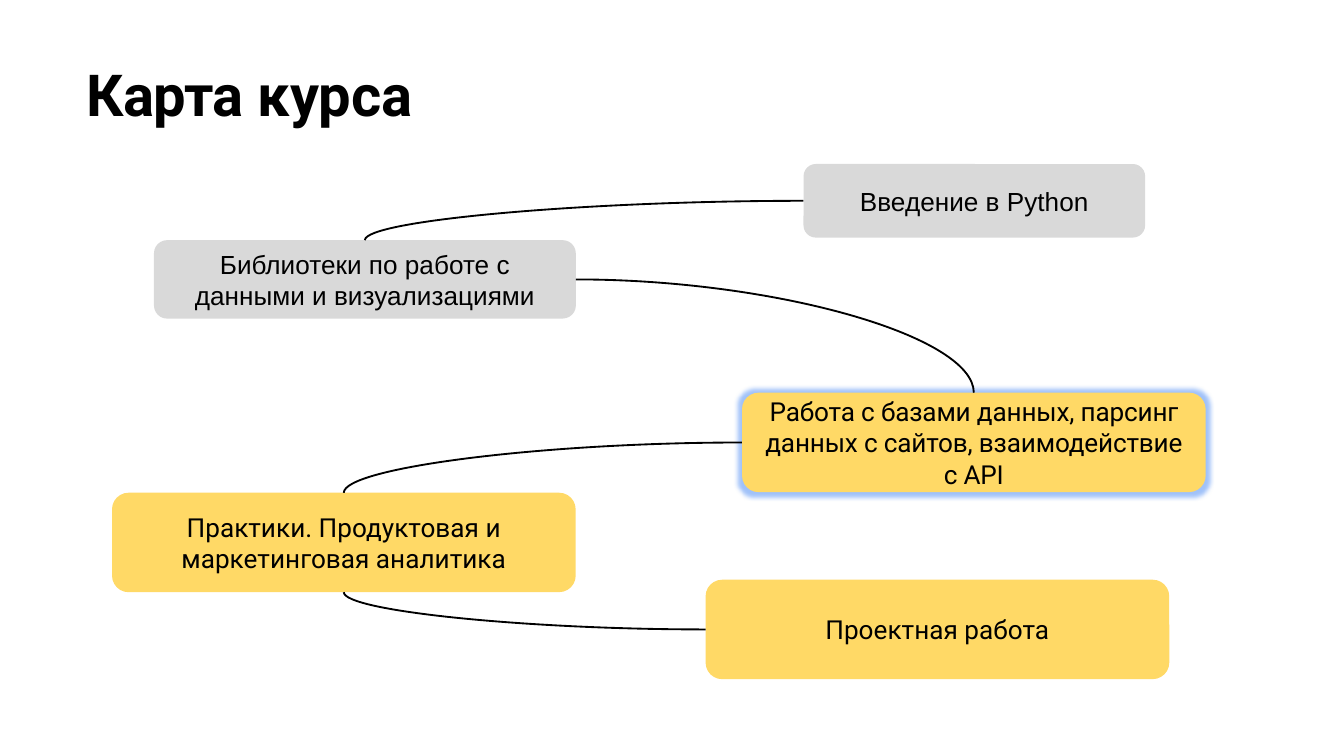
import pptx
import pptx.dml.color
import pptx.enum.shapes
import pptx.enum.text
import pptx.oxml
import pptx.oxml.ns
import pptx.util

Pt = pptx.util.Pt
RGBColor = pptx.dml.color.RGBColor
PP_ALIGN = pptx.enum.text.PP_ALIGN

BLACK = RGBColor(0x00, 0x00, 0x00)
GRAY = RGBColor(0xD9, 0xD9, 0xD9)
YELLOW = RGBColor(0xFF, 0xD9, 0x66)
GLOW_BLUE = RGBColor(0x42, 0x85, 0xF4)

TOP, LEFT, BOTTOM, RIGHT = range(4)

TOPICS = [
    ("Введение в Python", 430.5, 87.9, 183, 39.4, GRAY, "Arial", 0),
    ("Библиотеки по работе с данными и визуализациями",
     82.5, 128.7, 226, 42, GRAY, "Arial", 0),
    ("Работа с базами данных, парсинг данных с сайтов, взаимодействие с API",
     397.5, 210.4, 248.4, 53.3, YELLOW, "Roboto", -0.1),
    ("Практики. Продуктовая и маркетинговая аналитика",
     60, 264, 248.4, 53.3, YELLOW, "Roboto", 0),
    ("Проектная работа", 378, 310.6, 248.4, 53.3, YELLOW, "Roboto", 0),
]
CURRENT_TOPIC = 2

LINKS = [
    (0, LEFT, 1, TOP),
    (1, RIGHT, 2, TOP),
    (2, LEFT, 3, TOP),
    (4, LEFT, 3, BOTTOM),
]


def add_text(p, text, *, size, font, bold=False, spacing=0):
    r = p.add_run()
    r.text = text
    r.font.size = Pt(size)
    r.font.name = font
    r.font.bold = bold
    r.font.color.rgb = BLACK
    if spacing:
        r.font._element.set("spc", str(round(spacing * 100)))


def add_title(s):
    sp = s.shapes.add_textbox(Pt(45.4), Pt(30.2), Pt(490), Pt(39))
    tf = sp.text_frame
    tf.word_wrap = True
    tf.margin_left = tf.margin_right = tf.margin_bottom = 0
    tf.margin_top = Pt(1)
    p = tf.paragraphs[0]
    p._p.get_or_add_pPr().set("marL", str(Pt(1)))
    add_text(p, "Карта ", size=31, font="Roboto", bold=True, spacing=-0.3)
    add_text(p, "курса", size=31, font="Roboto", bold=True, spacing=-0.1)


def add_topic(s, text, left, top, width, height, color, font, spacing):
    sp = s.shapes.add_shape(
        pptx.enum.shapes.MSO_SHAPE.ROUNDED_RECTANGLE,
        Pt(left), Pt(top), Pt(width), Pt(height))
    sp.shadow.inherit = False
    sp.fill.solid()
    sp.fill.fore_color.rgb = color
    sp.line.fill.background()
    tf = sp.text_frame
    tf.word_wrap = True
    tf.vertical_anchor = pptx.enum.text.MSO_ANCHOR.MIDDLE
    p = tf.paragraphs[0]
    p.alignment = PP_ALIGN.CENTER
    add_text(p, text, size=14, font=font, spacing=spacing)
    return sp


def add_glow(sp, color, radius):
    effects = sp._element.spPr.find(pptx.oxml.ns.qn("a:effectLst"))
    effects.append(pptx.oxml.parse_xml(
        f'<a:glow {pptx.oxml.ns.nsdecls("a")} rad="{Pt(radius)}">'
        f'<a:srgbClr val="{color}"><a:alpha val="50000"/></a:srgbClr></a:glow>'))


def add_link(s, start, start_side, end, end_side):
    cxn = s.shapes.add_connector(
        pptx.enum.shapes.MSO_CONNECTOR.CURVE, 0, 0, 0, 0)
    cxn.begin_connect(start, start_side)
    cxn.end_connect(end, end_side)
    cxn.line.color.rgb = BLACK
    cxn.line.width = Pt(1)
    spPr = cxn._element.spPr
    spPr.find(pptx.oxml.ns.qn("a:prstGeom")).set("prst", "curvedConnector2")
    spPr.append(pptx.oxml.parse_xml(
        f'<a:effectLst {pptx.oxml.ns.nsdecls("a")}/>'))


def main():
    prs = pptx.Presentation()
    prs.slide_width, prs.slide_height = Pt(720), Pt(405)
    s = prs.slides.add_slide(prs.slide_layouts[6])
    add_title(s)
    topics = [add_topic(s, *topic) for topic in TOPICS]
    add_glow(topics[CURRENT_TOPIC], GLOW_BLUE, 5)
    for start, start_side, end, end_side in LINKS:
        add_link(s, topics[start], start_side, topics[end], end_side)
    prs.save("out.pptx")


if __name__ == "__main__":
    main()
